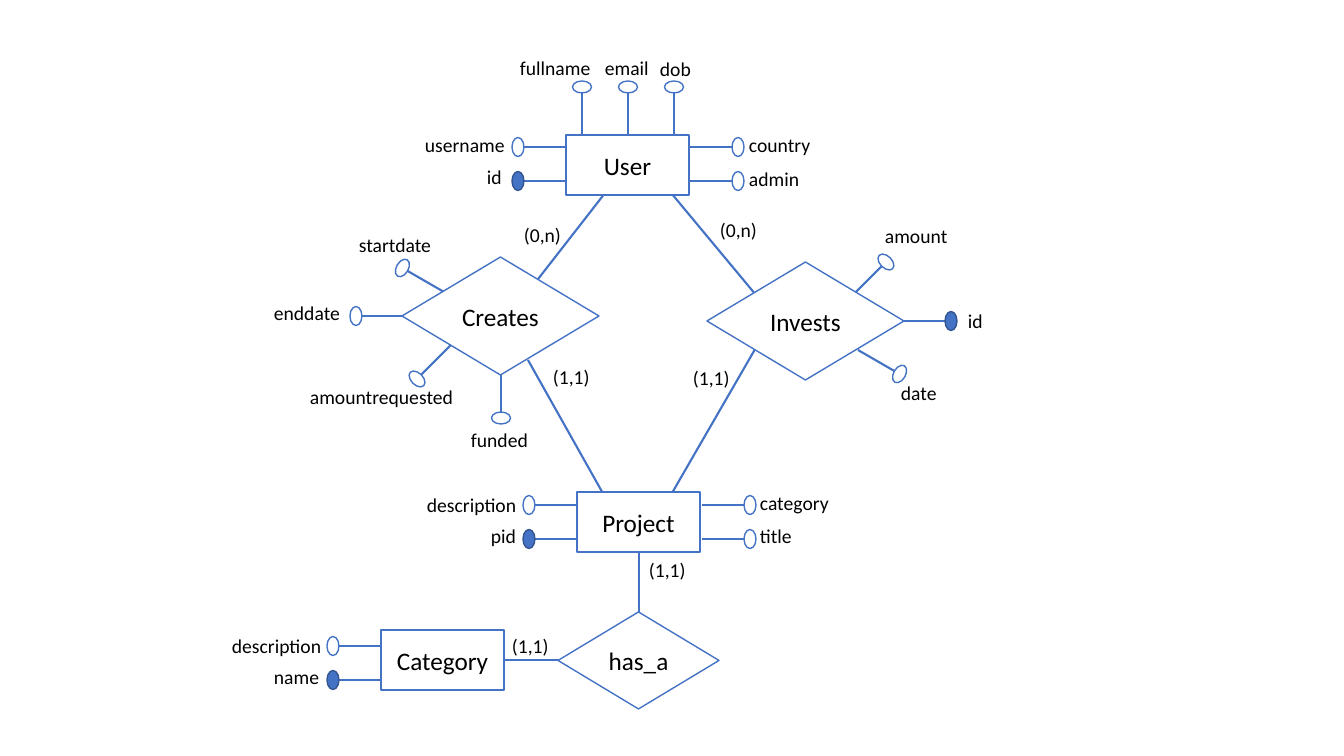
from dataclasses import dataclass
from math import cos, radians, sin

from lxml.etree import SubElement
from pptx import Presentation
from pptx.dml.color import RGBColor
from pptx.enum.shapes import MSO_CONNECTOR, MSO_SHAPE
from pptx.enum.text import MSO_ANCHOR, MSO_AUTO_SIZE, PP_ALIGN
from pptx.oxml.ns import qn
from pptx.util import Emu, Pt

COLORS = {"line": "4472C4", "key_line": "325491", "paper": "FFFFFF", "text": "000000"}
FONT = "Calibri"
EMU_PER_PIXEL = 914400 / 100.8
STEM_LENGTH, BULB_DISTANCE = 42, 48
BULB_WIDTH, BULB_HEIGHT = 19, 12
LABEL_HEIGHT, CARDINALITY_WIDTH = 34, 57

# Headings in degrees, clockwise from straight up
UP, RIGHT, DOWN, LEFT = 0, 90, 180, 270


@dataclass
class Node:
    """An entity or a relationship."""
    name: str
    kind: MSO_SHAPE
    left: int
    top: int
    width: int
    height: int
    border: float


@dataclass
class Attribute:
    """A stem from (x, y) ending in a bulb, with its label box."""
    name: str
    x: int
    y: int
    heading: int
    label_left: int
    label_top: int
    label_width: int
    is_key: bool = False


@dataclass
class Link:
    """A line between nodes with its cardinality."""
    start: tuple[int, int]
    end: tuple[int, int]
    cardinality: str
    label_left: int
    label_top: int


NODES = [
    Node("User", MSO_SHAPE.RECTANGLE, 566, 135, 123, 60, 1.5),
    Node("Project", MSO_SHAPE.RECTANGLE, 577, 492, 123, 60, 1.5),
    Node("Category", MSO_SHAPE.RECTANGLE, 381, 630, 123, 60, 1.5),
    Node("Creates", MSO_SHAPE.DIAMOND, 402, 257, 197, 118, 1),
    Node("Invests", MSO_SHAPE.DIAMOND, 707, 262, 197, 118, 1),
    Node("has_a", MSO_SHAPE.DIAMOND, 558, 612, 161, 97, 1),
]

ATTRIBUTES = [
    # User
    Attribute("fullname", 582, 135, UP, 510, 51, 92),
    Attribute("email", 628, 135, UP, 595, 51, 65),
    Attribute("dob", 674, 135, UP, 650, 52, 51),
    Attribute("username", 566, 147, LEFT, 415, 128, 101),
    Attribute("id", 566, 181, LEFT, 477, 160, 35, is_key=True),
    Attribute("country", 690, 147, RIGHT, 739, 128, 83),
    Attribute("admin", 690, 181, RIGHT, 739, 162, 72),
    # Project
    Attribute("description", 577, 505, LEFT, 417, 488, 111),
    Attribute("pid", 577, 539, LEFT, 481, 519, 45, is_key=True),
    Attribute("category", 702, 505, RIGHT, 750, 486, 90),
    Attribute("title", 702, 539, RIGHT, 750, 519, 52),
    # Category
    Attribute("description", 381, 646, LEFT, 222, 629, 111),
    Attribute("name", 381, 680, LEFT, 264, 660, 66, is_key=True),
    # Creates
    Attribute("startdate", 444, 292, 300, 349, 228, 94),
    Attribute("enddate", 404, 316, LEFT, 264, 296, 88),
    Attribute("amountrequested", 451, 345, 225, 300, 380, 165),
    Attribute("funded", 501, 370, DOWN, 461, 423, 78),
    # Invests
    Attribute("amount", 852, 296, 45, 875, 219, 84),
    Attribute("id", 903, 321, RIGHT, 958, 304, 35, is_key=True),
    Attribute("date", 858, 350, 120, 891, 376, 56),
]

LINKS = [
    Link((609, 188), (535, 283), "(0,n)", 514, 218),
    Link((662, 182), (761, 301), "(0,n)", 710, 213),
    Link((528, 360), (605, 497), "(1,1)", 543, 360),
    Link((761, 339), (668, 500), "(1,1)", 683, 361),
    Link((639, 551), (639, 612), "(1,1)", 639, 553),
    Link((504, 660), (558, 660), "(1,1)", 502, 629),
]


def px(pixels: float) -> Emu:
    return Emu(round(pixels * EMU_PER_PIXEL))


def color(name: str) -> RGBColor:
    return RGBColor.from_string(COLORS[name])


def write(frame, text: str, size: int) -> None:
    frame.text = text
    font = frame.paragraphs[0].runs[0].font
    font.name, font.size = FONT, Pt(size)
    font.color.rgb = color("text")


def draw_line(start: tuple[float, float], end: tuple[float, float]) -> None:
    line = slide.shapes.add_connector(
        MSO_CONNECTOR.STRAIGHT, *map(px, (*start, *end)))
    line.line.color.rgb = color("line")
    line.line.width = Pt(1.5)
    SubElement(line._element.spPr, qn("a:effectLst"))


def draw_shape(kind: MSO_SHAPE, left: float, top: float, width: int, height: int,
               fill: str, border: str, border_width: float):
    shape = slide.shapes.add_shape(kind, *map(px, (left, top, width, height)))
    shape.shadow.inherit = False
    shape.fill.solid()
    shape.fill.fore_color.rgb = color(fill)
    shape.line.color.rgb = color(border)
    shape.line.width = Pt(border_width)
    return shape


def draw_label(text: str, left: int, top: int, width: int) -> None:
    frame = slide.shapes.add_textbox(
        *map(px, (left, top, width, LABEL_HEIGHT))).text_frame
    frame.word_wrap = False
    frame.auto_size = MSO_AUTO_SIZE.SHAPE_TO_FIT_TEXT
    write(frame, text, 14)


def draw_attribute(item: Attribute) -> None:
    dx, dy = sin(radians(item.heading)), -cos(radians(item.heading))
    draw_line((item.x, item.y),
              (item.x + STEM_LENGTH * dx, item.y + STEM_LENGTH * dy))
    fill, border = ("line", "key_line") if item.is_key else ("paper", "line")
    bulb = draw_shape(MSO_SHAPE.OVAL,
                      item.x + BULB_DISTANCE * dx - BULB_WIDTH / 2,
                      item.y + BULB_DISTANCE * dy - BULB_HEIGHT / 2,
                      BULB_WIDTH, BULB_HEIGHT, fill, border, 1)
    bulb.rotation = item.heading
    draw_label(item.name, item.label_left, item.label_top, item.label_width)


def draw_node(node: Node) -> None:
    shape = draw_shape(node.kind, node.left, node.top, node.width, node.height,
                       "paper", "line", node.border)
    frame = shape.text_frame
    frame.vertical_anchor = MSO_ANCHOR.MIDDLE
    write(frame, node.name, 18)
    frame.paragraphs[0].alignment = PP_ALIGN.CENTER


deck = Presentation()
deck.slide_width, deck.slide_height = px(1344), px(756)
slide = deck.slides.add_slide(deck.slide_layouts[6])

# Lines and attributes lie beneath the nodes
for link in LINKS:
    draw_line(link.start, link.end)
for attribute in ATTRIBUTES:
    draw_attribute(attribute)

# Entities and relationships
for node in NODES:
    draw_node(node)

# Cardinalities on top
for link in LINKS:
    draw_label(link.cardinality, link.label_left, link.label_top, CARDINALITY_WIDTH)

deck.save("out.pptx")
